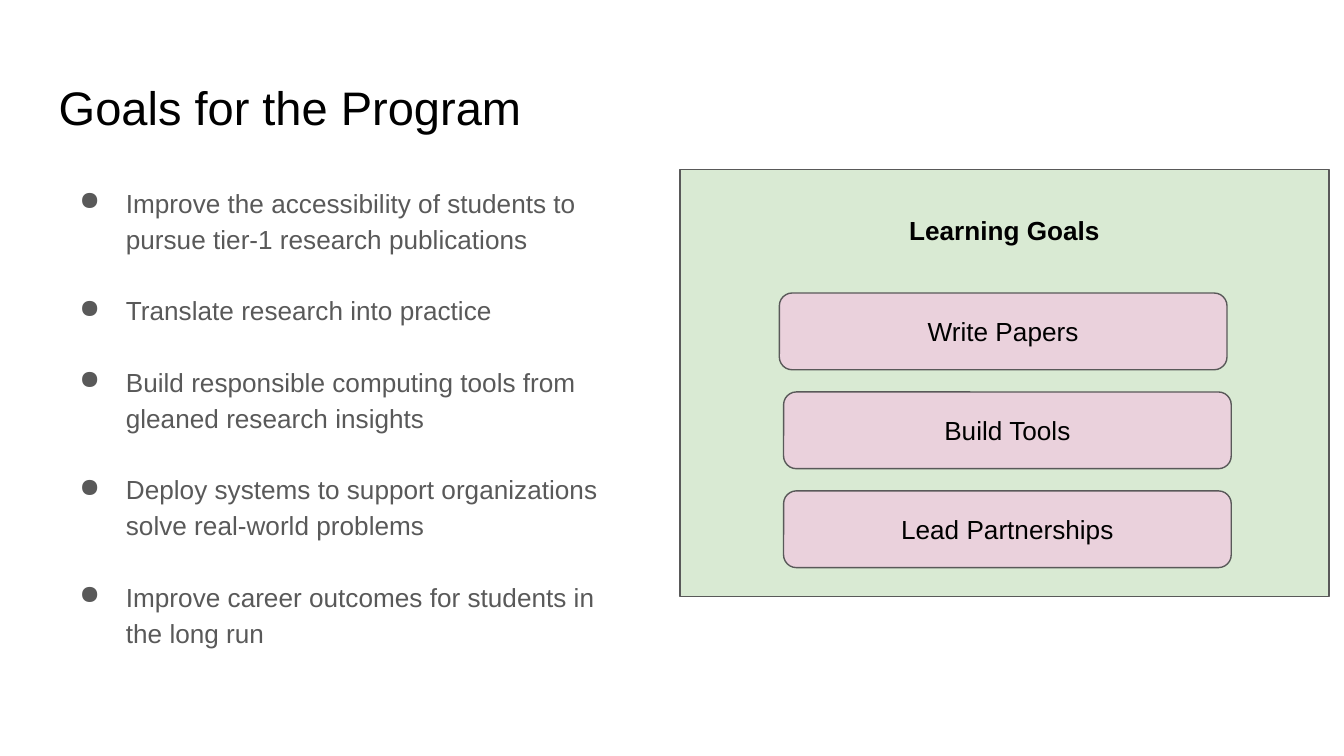
import dataclasses

import pptx
import pptx.dml.color
import pptx.enum.shapes
import pptx.enum.text
import pptx.oxml
import pptx.oxml.ns
import pptx.util
from pptx.util import Cm, Pt

FONT = "Arial"
BLACK = "000000"
GRAY = "595959"
GREEN = "D9EAD3"
PINK = "EAD1DC"
ALIGN = pptx.enum.text.PP_ALIGN
ANCHOR = pptx.enum.text.MSO_ANCHOR
SHAPE = pptx.enum.shapes.MSO_SHAPE


@dataclasses.dataclass
class Box:
    left: float
    top: float
    width: float
    height: float

    def lengths(self) -> tuple:
        return Cm(self.left), Cm(self.top), Cm(self.width), Cm(self.height)


@dataclasses.dataclass
class Goal:
    text: str
    left: float


GOALS = [
    Goal("Write Papers", 14.73),
    Goal("Build Tools", 14.81),
    Goal("Lead Partnerships", 14.81),
]
GOAL_TOP, GOAL_STEP = 5.54, 1.87
GOAL_WIDTH, GOAL_HEIGHT = 8.46, 1.45

PROGRAM_GOALS = [
    "Improve the accessibility of students to pursue tier-1 research publications",
    "Translate research into practice",
    "Build responsible computing tools from gleaned research insights",
    "Deploy systems to support organizations solve real-world problems",
    "Improve career outcomes for students in the long run",
]


def rgb(color: str) -> pptx.dml.color.RGBColor:
    return pptx.dml.color.RGBColor.from_string(color)


def add_bullet(paragraph) -> None:
    properties = paragraph._p.get_or_add_pPr()
    properties.set("marL", str(Cm(1.27)))
    properties.set("indent", str(Cm(-0.88)))
    namespace = pptx.oxml.ns.nsdecls("a")
    for xml in (
        f'<a:buClr {namespace}><a:srgbClr val="{GRAY}"/></a:buClr>',
        f'<a:buChar {namespace} char="●"/>',
    ):
        properties.append(pptx.oxml.parse_xml(xml))


def write_text(shape, *lines: str, size: float = 14, color: str = BLACK,
               bold: bool = False, align=ALIGN.LEFT, anchor=ANCHOR.TOP,
               top_inset: float = 0.25, bullets: bool = False) -> None:
    frame = shape.text_frame
    frame.word_wrap = True
    frame.auto_size = pptx.enum.text.MSO_AUTO_SIZE.NONE
    frame.vertical_anchor = anchor
    frame.margin_left = frame.margin_right = frame.margin_bottom = Cm(0.25)
    frame.margin_top = Cm(top_inset)
    for index, line in enumerate(lines):
        paragraph = frame.add_paragraph() if index else frame.paragraphs[0]
        paragraph.alignment = align
        if bullets:
            paragraph.line_spacing = 1.15
            paragraph.space_after = Pt(19)
            add_bullet(paragraph)
        run = paragraph.add_run()
        run.text = line
        run.font.name = FONT
        run.font.size = Pt(size)
        run.font.bold = bold
        run.font.color.rgb = rgb(color)


def add_panel(slide, kind, box: Box, fill: str):
    shape = slide.shapes.add_shape(kind, *box.lengths())
    shape.shadow.inherit = False
    shape.fill.solid()
    shape.fill.fore_color.rgb = rgb(fill)
    shape.line.color.rgb = rgb(GRAY)
    shape.line.width = Pt(0.75)
    return shape


def main() -> None:
    presentation = pptx.Presentation()
    presentation.slide_width = Cm(25.4)
    presentation.slide_height = Cm(14.29)
    slide = presentation.slides.add_slide(presentation.slide_layouts[5])

    title = slide.shapes.title
    title.left, title.top, title.width, title.height = Box(0.86, 1.24, 23.67, 1.6).lengths()
    write_text(title, "Goals for the Program", size=25.2)

    goal_list = slide.shapes.add_textbox(*Box(0.86, 3.2, 11.1, 9.5).lengths())
    write_text(goal_list, *PROGRAM_GOALS, color=GRAY, bullets=True)

    learning_panel = add_panel(slide, SHAPE.RECTANGLE, Box(12.85, 3.2, 12.27, 8.08), GREEN)
    write_text(learning_panel, "Learning Goals", bold=True, align=ALIGN.CENTER, top_inset=0.85)

    for index, goal in enumerate(GOALS):
        box = Box(goal.left, GOAL_TOP + index * GOAL_STEP, GOAL_WIDTH, GOAL_HEIGHT)
        button = add_panel(slide, SHAPE.ROUNDED_RECTANGLE, box, PINK)
        write_text(button, goal.text, align=ALIGN.CENTER, anchor=ANCHOR.MIDDLE)

    presentation.save("out.pptx")


if __name__ == "__main__":
    main()
